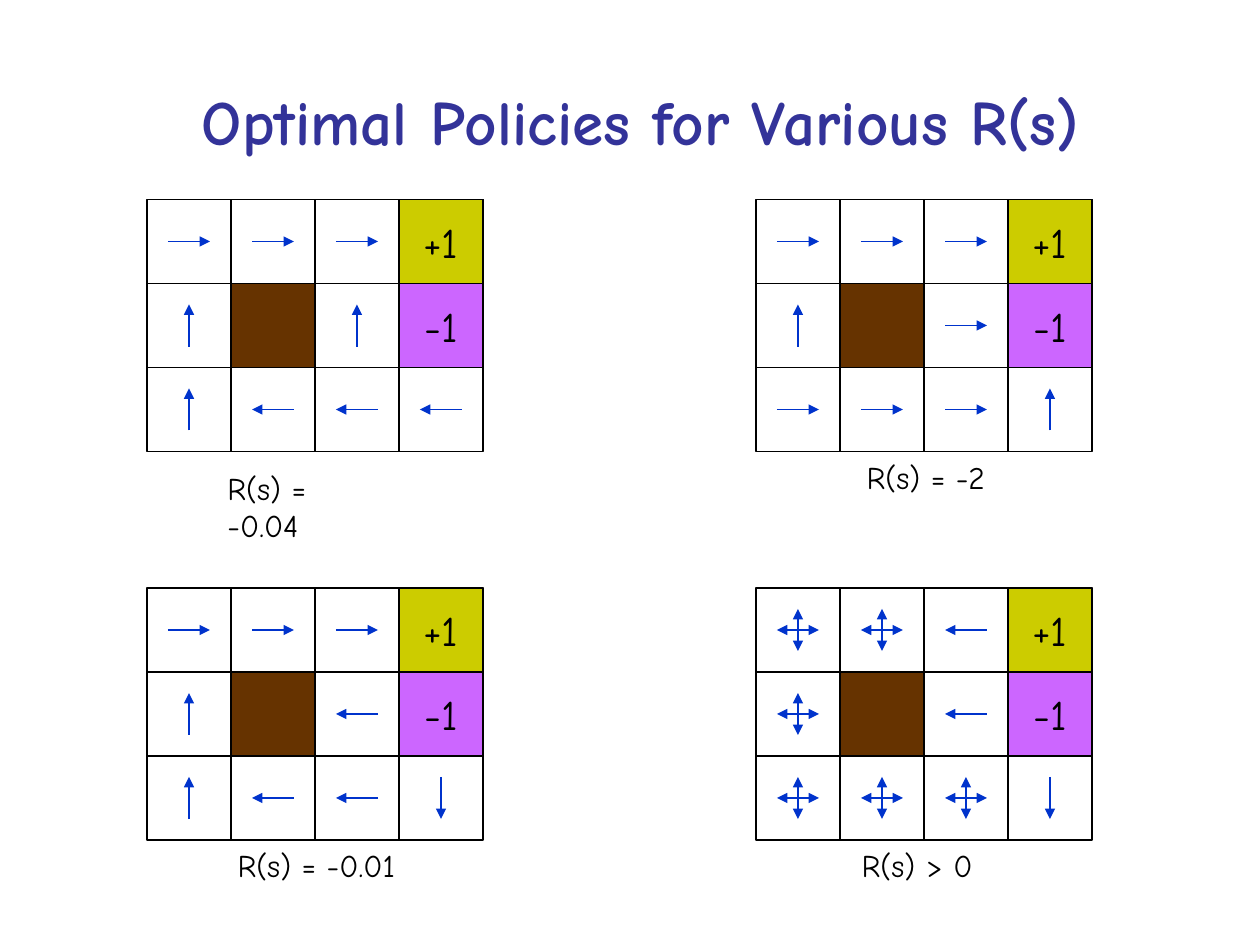
from dataclasses import dataclass

from lxml.etree import SubElement
from pptx import Presentation
from pptx.dml.color import RGBColor
from pptx.enum.shapes import MSO_CONNECTOR, MSO_SHAPE
from pptx.enum.text import MSO_ANCHOR, MSO_AUTO_SIZE, PP_ALIGN
from pptx.oxml.ns import qn
from pptx.shapes.autoshape import Shape
from pptx.shapes.connector import Connector
from pptx.slide import Slide
from pptx.util import Inches, Length, Pt


@dataclass(frozen=True)
class Theme:
    font: str = "Comic Neue"
    title: str = "333399"
    ink: str = "000000"
    action: str = "0033CC"
    wall: str = "663300"
    goal: str = "CCCC00"
    pit: str = "CC66FF"
    title_size: int = 36
    reward_size: int = 24
    caption_size: int = 18
    line_width: float = 0.75


@dataclass(frozen=True)
class Policy:
    """A board at (col, row); its caption is placed relative to the board."""
    col: float
    row: float
    actions: tuple[str, str, str]
    caption: str
    caption_col: float
    caption_width: float
    caption_row: float = 3


THEME = Theme()
SLIDE_COLS, SLIDE_ROWS = 15, 11.25
CELL = Inches(10) / SLIDE_COLS
BOARD_COLS, BOARD_ROWS = 4, 3
REACH = 0.25  # from the centre of a cell to an arrow's end
CAPTION_HEIGHT = 0.6

LEFT, RIGHT = 1.75, 9
TOP, BOTTOM = 2.375, 7

# "+" marks a state where every action is optimal, "." a state without one
POLICIES = (
    Policy(RIGHT, BOTTOM, ("++←.", "+.←.", "+++↓"), "R(s) > 0", 1.11, 1.62),
    Policy(LEFT, BOTTOM, ("→→→.", "↑.←.", "↑←←↓"), "R(s) = -0.01", 0.93, 2.18),
    Policy(LEFT, TOP, ("→→→.", "↑.↑.", "↑←←←"), "R(s) = -0.04", 0.81, 2.2, 3.13),
    Policy(RIGHT, TOP, ("→→→.", "↑.→.", "→→→↑"), "R(s) = -2", 1.17, 1.71),
)
ARROWS = {
    "→": ((1, 0),),
    "←": ((-1, 0),),
    "↑": ((0, -1),),
    "↓": ((0, 1),),
    "+": ((0, -1), (1, 0)),
}


def cells(count: float) -> Length:
    return Length(round(count * CELL))


def color(code: str) -> RGBColor:
    return RGBColor.from_string(code)


def write(box: Shape, text: str, size: int, ink: str = THEME.ink,
          align: PP_ALIGN = PP_ALIGN.CENTER, bold: bool = False) -> None:
    box.text_frame.text = text
    paragraph = box.text_frame.paragraphs[0]
    paragraph.alignment = align
    font = paragraph.font
    font.name, font.size, font.bold = THEME.font, Pt(size), bold
    font.color.rgb = color(ink)


def add_rectangle(slide: Slide, col: float, row: float, width: float = 1,
                  height: float = 1, fill: str | None = None) -> Shape:
    rectangle = slide.shapes.add_shape(
        MSO_SHAPE.RECTANGLE, cells(col), cells(row), cells(width), cells(height))
    rectangle.shadow.inherit = False
    if fill:
        rectangle.fill.solid()
        rectangle.fill.fore_color.rgb = color(fill)
    else:
        rectangle.fill.background()
    rectangle.line.color.rgb = color(THEME.ink)
    rectangle.line.width = Pt(THEME.line_width)
    return rectangle


def add_line(slide: Slide, start: tuple[float, float], end: tuple[float, float],
             ink: str = THEME.ink) -> Connector:
    line = slide.shapes.add_connector(
        MSO_CONNECTOR.STRAIGHT, *map(cells, (*start, *end)))
    line.line.color.rgb = color(ink)
    line.line.width = Pt(THEME.line_width)
    SubElement(line._element.spPr, qn("a:effectLst"))
    return line


def add_action(slide: Slide, col: float, row: float, action: str) -> None:
    """Draw the arrows of one state; "+" has heads at both ends."""
    ends = ("a:headEnd", "a:tailEnd") if action == "+" else ("a:tailEnd",)
    x, y = col + 0.5, row + 0.5
    for dx, dy in ARROWS[action]:
        arrow = add_line(slide, (x - dx * REACH, y - dy * REACH),
                         (x + dx * REACH, y + dy * REACH), THEME.action)
        for end in ends:
            SubElement(arrow.line._get_or_add_ln(), qn(end), type="triangle")


def add_reward(slide: Slide, col: float, row: float, reward: str, fill: str) -> None:
    state = add_rectangle(slide, col, row, fill=fill)
    state.text_frame.word_wrap = False
    state.text_frame.vertical_anchor = MSO_ANCHOR.MIDDLE
    write(state, reward, THEME.reward_size)


def add_grid(slide: Slide, left: float, top: float) -> None:
    frame = add_rectangle(slide, left, top, BOARD_COLS, BOARD_ROWS)
    for col in range(1, BOARD_COLS):
        divider = add_line(slide, (left + col, top), (left + col, top + BOARD_ROWS))
        if col * 2 == BOARD_COLS:
            divider.begin_connect(frame, 0)
            divider.end_connect(frame, 2)
    for row in range(1, BOARD_ROWS):
        add_line(slide, (left, top + row), (left + BOARD_COLS, top + row))


def add_policy(slide: Slide, policy: Policy) -> None:
    left, top = policy.col, policy.row
    add_grid(slide, left, top)
    add_rectangle(slide, left + 1, top + 1, fill=THEME.wall)
    add_reward(slide, left + 3, top, "+1", THEME.goal)
    add_reward(slide, left + 3, top + 1, "-1", THEME.pit)
    for row, actions in enumerate(policy.actions):
        for col, action in enumerate(actions):
            if action in ARROWS:
                add_action(slide, left + col, top + row, action)
    caption = slide.shapes.add_textbox(
        cells(left + policy.caption_col), cells(top + policy.caption_row),
        cells(policy.caption_width), cells(CAPTION_HEIGHT))
    caption.text_frame.word_wrap = False
    caption.text_frame.auto_size = MSO_AUTO_SIZE.SHAPE_TO_FIT_TEXT
    write(caption, policy.caption, THEME.caption_size, align=PP_ALIGN.LEFT)


def add_title(slide: Slide, text: str) -> None:
    title = slide.shapes.add_textbox(cells(1), cells(0.5), cells(13.25), cells(1.875))
    title.text_frame.word_wrap = True
    title.text_frame.vertical_anchor = MSO_ANCHOR.MIDDLE
    write(title, text, THEME.title_size, THEME.title, bold=True)


def main() -> None:
    deck = Presentation()
    deck.slide_width, deck.slide_height = cells(SLIDE_COLS), cells(SLIDE_ROWS)
    slide = deck.slides.add_slide(deck.slide_layouts[6])
    add_title(slide, "Optimal Policies for Various R(s)")
    for policy in POLICIES:
        add_policy(slide, policy)
    deck.save("out.pptx")


if __name__ == "__main__":
    main()
